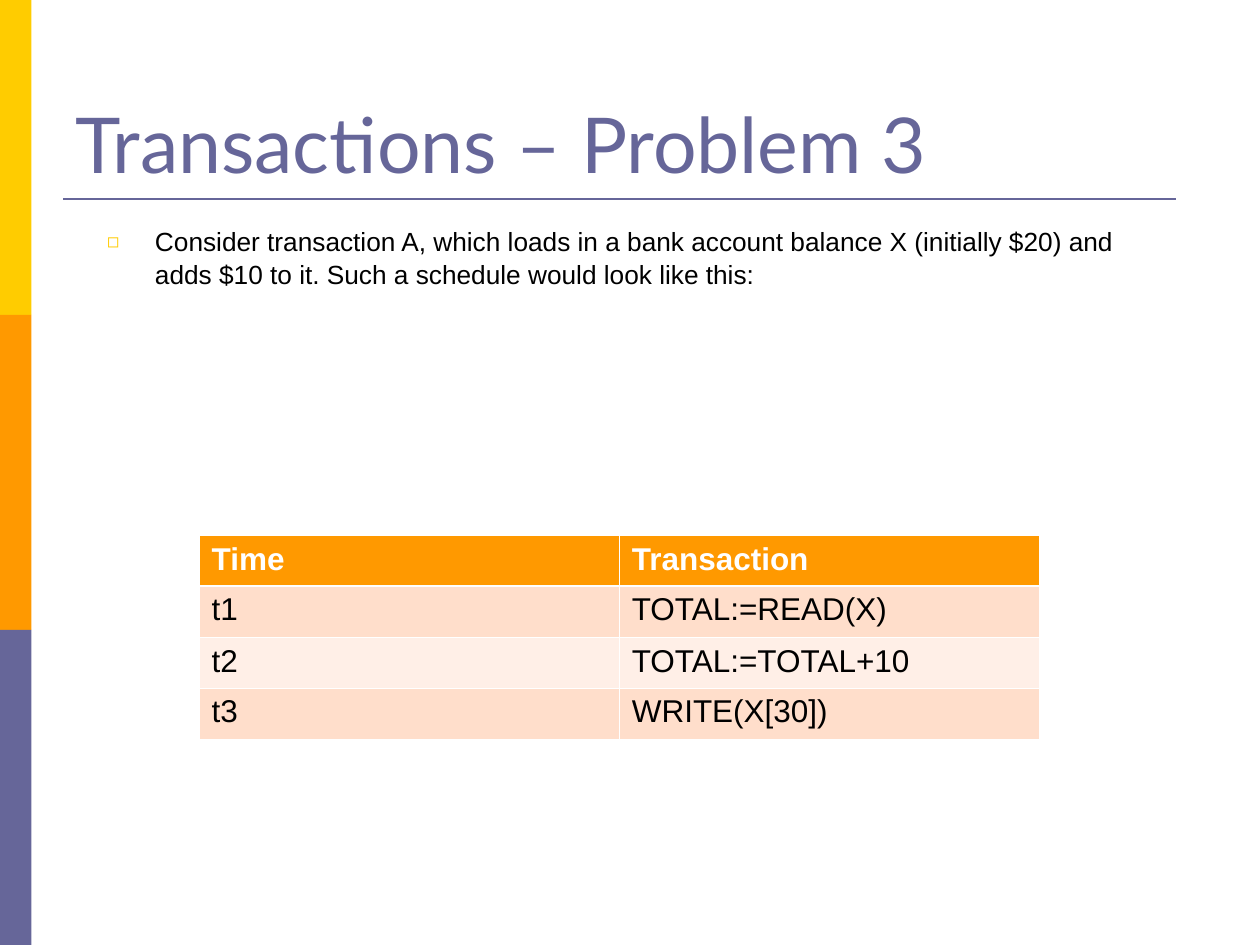
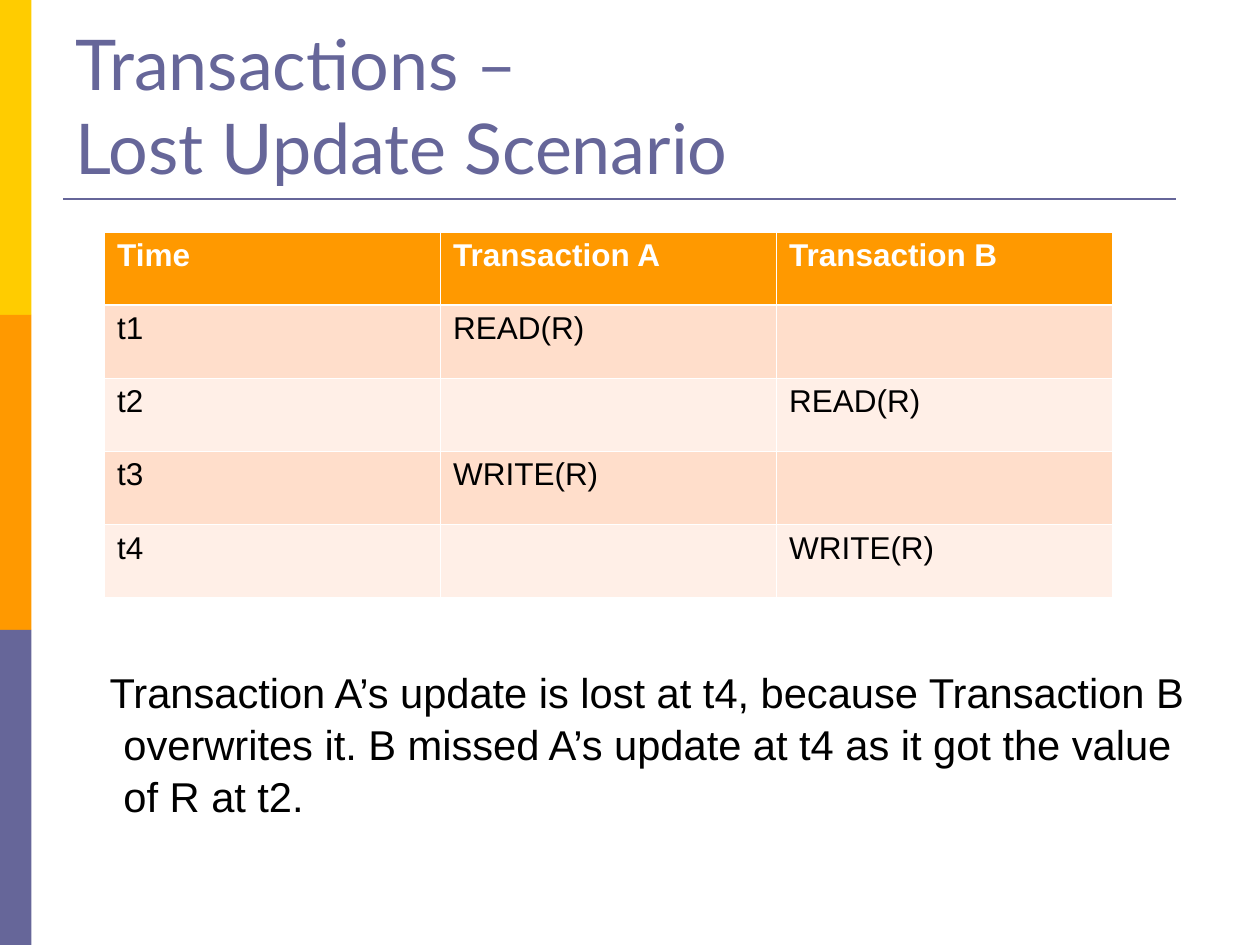
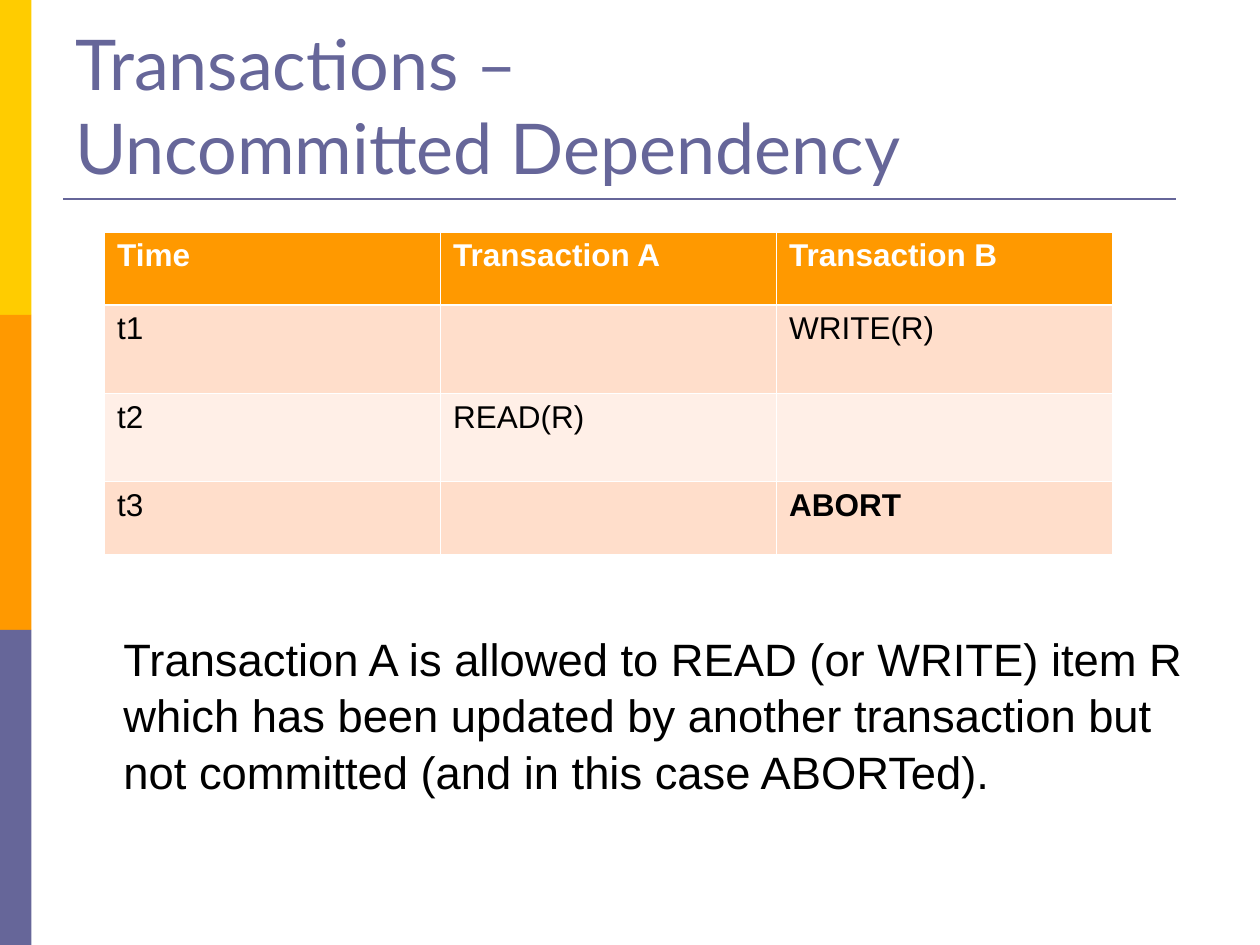
from lxml.etree import SubElement as Sub
from pptx import Presentation
from pptx.dml.color import RGBColor
from pptx.enum.shapes import MSO_CONNECTOR as Conn, MSO_SHAPE as Kind
from pptx.enum.text import MSO_ANCHOR as Anchor, MSO_AUTO_SIZE as Auto, PP_ALIGN as Align
from pptx.oxml.ns import qn
from pptx.util import Inches, Pt

GOLD, AMBER, SLATE = "FFCC00", "FF9900", "666699"
WHITE, BLACK = "FFFFFF", "000000"
TINTS = "FFDECB", "FFEFE7"
THIN, THICK = 0.45, 1.47
HEAD = ["Time", "Transaction A", "Transaction B"]

SLIDES = [
    {
        "title": ["Transactions – Problem 3"], "size": 44,
        "body": "Consider transaction A, which loads in a bank account balance X (initially $20) "
                "and adds $10 to it. Such a schedule would look like this:",
        "box": (0.75, 1.73, 8.5, 0.6), "font": 15, "indent": -0.38, "bullet": "◻",
        "grid": (1.58, 4.25, 6.67), "heights": [0.4, 0.41, 0.4, 0.41],
        "rows": [["Time", "Transaction"], ["t1", "TOTAL:=READ(X)"],
                 ["t2", "TOTAL:=TOTAL+10"], ["t3", "WRITE(X[30])"]],
    },
    {
        "title": ["Transactions –", "Lost Update Scenario"], "size": 40,
        "body": "Transaction A’s update is lost at t4, because Transaction B overwrites it. "
                "B missed A’s update at t4 as it got the value of R at t2.",
        "box": (0.5, 5.23, 9.05, 1.4), "font": 23.8, "indent": -0.11, "bullet": None,
        "grid": (0.83, 1.84, 8), "heights": [0.58] * 5,
        "rows": [HEAD, ["t1", "READ(R)", ""], ["t2", "", "READ(R)"],
                 ["t3", "WRITE(R)", ""], ["t4", "", "WRITE(R)"]],
    },
    {
        "title": ["Transactions –", "Uncommitted Dependency"], "size": 40,
        "body": "Transaction A is allowed to READ (or WRITE) item R which has been updated by "
                "another transaction but not committed (and in this case ABORTed).",
        "box": (0.5, 4.94, 9.05, 1.5), "font": 25.9, "indent": 0, "bullet": None,
        "grid": (0.83, 1.84, 8), "heights": [0.58, 0.7, 0.7, 0.58],
        "rows": [HEAD, ["t1", "", "WRITE(R)"], ["t2", "READ(R)", ""], ["t3", "", "ABORT"]],
    },
]


def rgb(code):
    return RGBColor.from_string(code)


def add_run(para, text, size, color, face="Arial", bold=False):
    run = para.add_run()
    run.text = text
    font = run.font
    font.name, font.size, font.bold = face, Pt(size), bold
    font.color.rgb = rgb(color)


def place(shape, left, top, width, height):
    shape.left, shape.top = Inches(left), Inches(top)
    shape.width, shape.height = Inches(width), Inches(height)


def add_frame(slide, layout):
    parts = []
    for i, color in enumerate((GOLD, AMBER, SLATE)):
        band = slide.shapes.add_shape(Kind.RECTANGLE, 0, Inches(2.5 * i), Inches(0.25), Inches(2.5))
        band.shadow.inherit = False
        band.fill.solid()
        band.fill.fore_color.rgb = rgb(color)
        band.line.fill.background()
        parts.append(band)
    rule = slide.shapes.add_connector(
        Conn.STRAIGHT, Inches(0.5), Inches(1.58), Inches(9.33), Inches(1.58))
    rule.line.color.rgb = rgb(SLATE)
    rule.line.width = Pt(1.5)
    Sub(rule.element.spPr, qn("a:effectLst"))
    parts.append(rule)
    first = layout.placeholders[0].element
    for part in parts:
        first.addprevious(part.element)


def add_title(slide, lines, size):
    title = slide.shapes.title
    place(title, 0.5, 0.3, 9, 1.25)
    frame = title.text_frame
    frame.auto_size, frame.vertical_anchor = Auto.NONE, Anchor.BOTTOM
    para = frame.paragraphs[0]
    para.alignment = Align.LEFT
    for i, line in enumerate(lines):
        if i:
            para.add_line_break()
        add_run(para, line, size, SLATE, "Lato")


def add_body(slide, text, box, size, indent, bullet):
    body = slide.placeholders[1]
    place(body, *box)
    frame = body.text_frame
    frame.auto_size, frame.vertical_anchor = Auto.NONE, Anchor.TOP
    para = frame.paragraphs[0]
    props = para._p.get_or_add_pPr()
    props.set("marL", str(Inches(0.38)))
    props.set("indent", str(Inches(indent)))
    if bullet:
        Sub(Sub(props, qn("a:buClr")), qn("a:srgbClr"), val=GOLD)
        Sub(props, qn("a:buSzPct"), val="75000")
        Sub(props, qn("a:buFont"), typeface="Arial")
        Sub(props, qn("a:buChar"), char=bullet)
    else:
        Sub(props, qn("a:buNone"))
    para.space_before = Pt(0)
    para.line_spacing = 1.04
    add_run(para, text, size, BLACK)


def set_edges(cell, row):
    props = cell._tc.get_or_add_tcPr()
    widths = {"L": THIN, "R": THIN, "T": THICK if row == 1 else THIN,
              "B": THICK if row == 0 else THIN}
    for side, width in widths.items():
        edge = Sub(props, qn("a:ln" + side), w=str(Pt(width)))
        Sub(Sub(edge, qn("a:solidFill")), qn("a:srgbClr"), val=WHITE)


def add_grid(slide, spot, heights, rows):
    left, top, width = spot
    count = len(rows[0])
    table = slide.shapes.add_table(
        len(rows), count, Inches(left), Inches(top), Inches(width), Inches(sum(heights))).table
    for col in table.columns:
        col.width = Inches(width / count)
    for r, (row, height) in enumerate(zip(rows, heights)):
        table.rows[r].height = Inches(height)
        for c, text in enumerate(row):
            cell = table.cell(r, c)
            set_edges(cell, r)
            cell.fill.solid()
            cell.fill.fore_color.rgb = rgb(TINTS[(r - 1) % 2] if r else AMBER)
            if text:
                add_run(cell.text_frame.paragraphs[0], text, 18,
                        BLACK if r else WHITE, bold=r == 0 or text == "ABORT")


def main():
    deck = Presentation()
    deck.slide_width, deck.slide_height = Inches(10), Inches(7.5)
    layout = deck.slide_layouts[1]
    for i, item in enumerate(SLIDES):
        slide = deck.slides.add_slide(layout)
        if i == 0:
            add_frame(slide, layout)
        add_title(slide, item["title"], item["size"])
        add_body(slide, item["body"], item["box"], item["font"], item["indent"], item["bullet"])
        add_grid(slide, item["grid"], item["heights"], item["rows"])
    deck.save("out.pptx")


if __name__ == "__main__":
    main()
